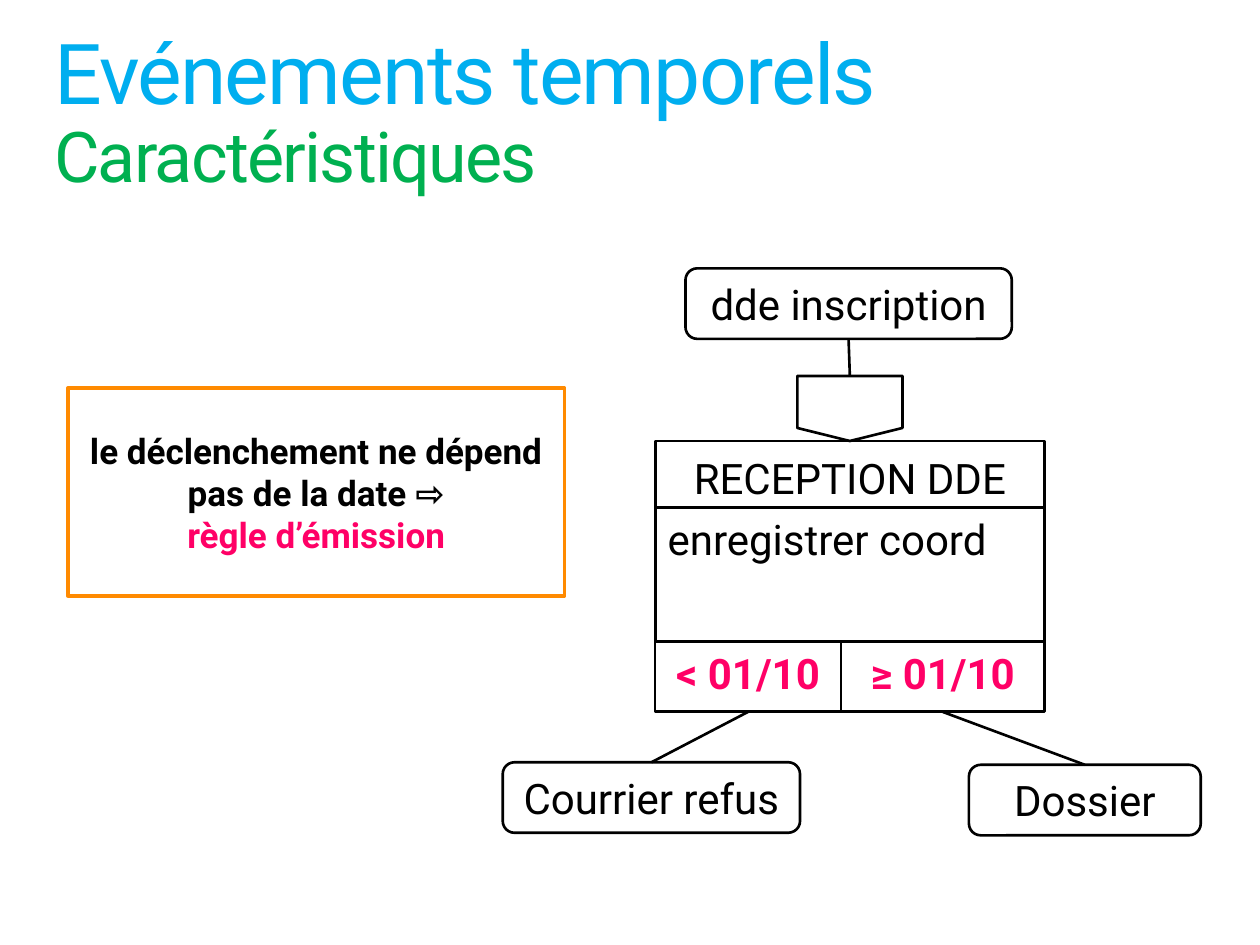
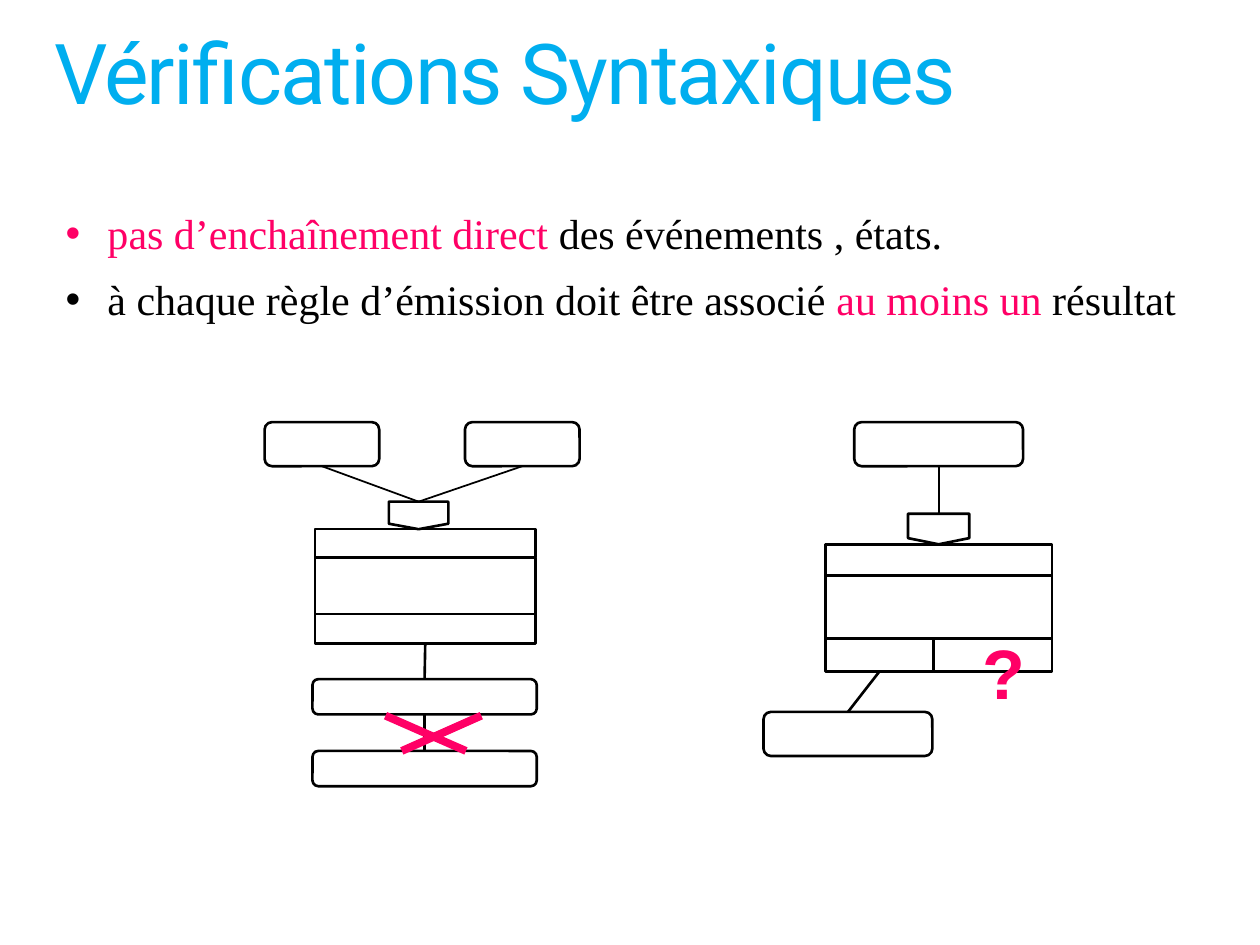
import dataclasses

import lxml.etree
import pptx
import pptx.dml.color
import pptx.enum.shapes
import pptx.enum.text
import pptx.oxml.ns
import pptx.util

RGBColor = pptx.dml.color.RGBColor
BLACK = RGBColor(0x00, 0x00, 0x00)
WHITE = RGBColor(0xFF, 0xFF, 0xFF)
BLUE = RGBColor(0x00, 0xAE, 0xEF)
GREEN = RGBColor(0x00, 0xB0, 0x50)
PINK = RGBColor(0xFF, 0x00, 0x66)
ORANGE = RGBColor(0xFF, 0x8A, 0x00)

SHAPES = pptx.enum.shapes.MSO_SHAPE
ALIGN = pptx.enum.text.PP_ALIGN
ANCHOR = pptx.enum.text.MSO_ANCHOR
qn = pptx.oxml.ns.qn

# The slide is a grid of 100 columns by 75 rows of square cells.
CELL = pptx.util.Inches(0.1)
COLUMNS, ROWS = 100, 75
TITLE_ONLY, TITLE_AND_BODY = 5, 1

# Shares of an operation's box
ROW_SHARES = (0.245, 0.495, 0.26)
RULE_SPLIT = 0.477
GATE_WIDTH, GATE_HEIGHT = 0.27, 0.24


@dataclasses.dataclass
class Box:
    left: float
    top: float
    width: float
    height: float

    def inner(self, column, row, width, height):
        """Box placed by cells from this box's corner."""
        return Box(self.left + column, self.top + row, width, height)

    def share(self, x, y, width, height):
        """Box placed by shares of this box."""
        return Box(*self.at(x, y), self.width * width, self.height * height)

    def at(self, x, y):
        return self.left + x * self.width, self.top + y * self.height

    def lengths(self):
        return [round(value * CELL) for value in
                (self.left, self.top, self.width, self.height)]


def write(shape, paragraphs, font="Roboto", size=24, color=BLACK, bold=False,
          align=ALIGN.LEFT, anchor=ANCHOR.TOP, wrap=True, inset=(0.1, 0.05),
          tracking=None, spacing=None, before=None):
    """Fill a shape; each paragraph is a list of (text, format changes)."""
    frame = shape.text_frame
    frame.auto_size = pptx.enum.text.MSO_AUTO_SIZE.NONE
    frame.word_wrap = wrap
    frame.vertical_anchor = anchor
    frame.margin_left = frame.margin_right = pptx.util.Inches(inset[0])
    frame.margin_top = frame.margin_bottom = pptx.util.Inches(inset[1])
    for index, pieces in enumerate(paragraphs):
        paragraph = frame.add_paragraph() if index else frame.paragraphs[0]
        paragraph.alignment = align
        if spacing:
            paragraph.line_spacing = spacing
        if before is not None:
            paragraph.space_before = pptx.util.Pt(before)
        for text, changes in pieces:
            if text == "\n":
                paragraph.add_line_break()
                continue
            run = paragraph.add_run()
            run.text = text
            run.font.name = font
            run.font.size = pptx.util.Pt(changes.get("size", size))
            run.font.bold = bold
            run.font.color.rgb = changes.get("color", color)
            if tracking is not None:
                run.font._element.set("spc", str(tracking * 100))


def place(shape, box):
    shape.left, shape.top, shape.width, shape.height = box.lengths()


def outline(slide, kind, box, text=None, line=BLACK, width=1.5, fill=None,
            **text_format):
    shape = slide.shapes.add_shape(kind, *box.lengths())
    shape.shadow.inherit = False
    if fill is None:
        shape.fill.background()
    else:
        shape.fill.solid()
        shape.fill.fore_color.rgb = fill
    shape.line.color.rgb = line
    shape.line.width = pptx.util.Pt(width)
    if text:
        paragraphs = [[(text, {})]] if isinstance(text, str) else text
        write(shape, paragraphs, **text_format)
    return shape


def link(slide, start, end, color=BLACK, width=1.5):
    connector = slide.shapes.add_connector(
        pptx.enum.shapes.MSO_CONNECTOR.STRAIGHT,
        *(round(value * CELL) for value in (*start, *end)))
    connector.line.color.rgb = color
    connector.line.width = pptx.util.Pt(width)
    lxml.etree.SubElement(connector._element.spPr, qn("a:effectLst"))


def state(slide, box, text=None):
    """Event or result: a rounded box."""
    outline(slide, SHAPES.ROUNDED_RECTANGLE, box, text,
            align=ALIGN.CENTER, anchor=ANCHOR.MIDDLE)
    return box


def operation(slide, box, name=None, action=None, rules=(None,), port=0.5):
    """Gate, name, action and rules; gives the gate's top and rule boxes."""
    gate = box.share(port - GATE_WIDTH / 2, -GATE_HEIGHT,
                     GATE_WIDTH, GATE_HEIGHT)
    outline(slide, SHAPES.FLOWCHART_OFFPAGE_CONNECTOR, gate)
    name_row, action_row, rule_row = ROW_SHARES
    outline(slide, SHAPES.RECTANGLE, box.share(0, 0, 1, name_row), name,
            align=ALIGN.CENTER, spacing=1.1)
    outline(slide, SHAPES.RECTANGLE, box.share(0, name_row, 1, action_row),
            action)
    rule_boxes = []
    edges = (0, RULE_SPLIT, 1) if len(rules) == 2 else (0, 1)
    for rule, start, end in zip(rules, edges, edges[1:]):
        rule_box = box.share(start, 1 - rule_row, end - start, rule_row)
        outline(slide, SHAPES.RECTANGLE, rule_box, rule, color=PINK,
                bold=True, align=ALIGN.CENTER, wrap=False)
        rule_boxes.append(rule_box)
    return gate.at(0.5, 0), rule_boxes


def add_title(slide, box, title, subtitle=None):
    pieces = [(title, {})]
    if subtitle:
        pieces += [("\n", {}), (subtitle, {"size": 40, "color": GREEN})]
    place(slide.shapes.title, box)
    write(slide.shapes.title, [pieces], size=48, color=BLUE, inset=(0, 0),
          tracking=-1, spacing=0.9, before=0)


def add_bullets(slide, box, paragraphs):
    body = slide.placeholders[1]
    place(body, box)
    write(body, paragraphs, font="Times New Roman", align=ALIGN.JUSTIFY,
          spacing=0.9, before=12)
    body.text_frame.paragraphs[0].line_spacing = 1.3
    for paragraph in body.text_frame.paragraphs:
        paragraph.level = 1
        properties = paragraph._p.get_or_add_pPr()
        properties.set("marL", str(pptx.util.Inches(0.9)))
        properties.set("indent", str(pptx.util.Inches(-0.25)))
        lxml.etree.SubElement(properties, qn("a:buFont"), typeface="Arial")
        lxml.etree.SubElement(properties, qn("a:buChar"), char="•")


def add_note(slide, box):
    lines = [[("le déclenchement ne dépend", {})],
             [("pas de la date ⇨", {})],
             [("règle d’émission", {"color": PINK})]]
    outline(slide, SHAPES.RECTANGLE, box, lines, line=ORANGE, width=2,
            fill=WHITE, size=20, bold=True, align=ALIGN.CENTER,
            anchor=ANCHOR.MIDDLE, wrap=False)


def add_registration(slide, box):
    """Request, its reception and the two dated results."""
    gate_top, rules = operation(slide, box.inner(12.1, 13.7, 30.9, 21.5),
                                "RECEPTION DDE", "enregistrer coord",
                                ("< 01/10", "≥ 01/10"))
    request = state(slide, box.inner(14.5, 0, 25.9, 5.6), "dde inscription")
    refusal = state(slide, box.inner(0, 39.2, 23.6, 5.6), "Courrier refus")
    folder = state(slide, box.inner(37, 39.4, 18.4, 5.6), "Dossier")
    link(slide, request.at(0.5, 1), gate_top)
    for rule, result in zip(rules, (refusal, folder)):
        link(slide, rule.at(0.5, 1), result.at(0.5, 0))


def add_chained_results(slide, box):
    """Two events, an operation and a forbidden result-to-result link."""
    gate_top, rules = operation(slide, box.inner(4, 8.5, 17.5, 9.1),
                                port=0.47)
    for column in (0, 15.9):
        event = state(slide, box.inner(column, 0, 9.1, 3.5))
        link(slide, event.at(0.5, 1), gate_top, width=1)
    source = rules[0]
    for row in (20.4, 26.1):
        result = state(slide, box.inner(3.8, row, 17.8, 2.8))
        link(slide, source.at(0.5, 1), result.at(0.5, 0))
        source = result
    # Cross over the forbidden link
    cross = box.inner(9.6, 23.3, 7.6, 2.8)
    link(slide, cross.at(0.17, 1), cross.at(1, 0), PINK, 4.5)
    link(slide, cross.at(0, 0), cross.at(0.84, 1), PINK, 4.5)


def add_missing_result(slide, box):
    """An operation whose second rule has no result."""
    gate_top, rules = operation(slide, box.inner(4.9, 9.7, 18, 10.1),
                                rules=(None, None))
    event = state(slide, box.inner(7.2, 0, 13.4, 3.5))
    result = state(slide, box.inner(0, 23, 13.4, 3.5))
    link(slide, event.at(0.5, 1), gate_top, width=1)
    link(slide, rules[0].at(0.5, 1), result.at(0.5, 0))
    question = slide.shapes.add_textbox(
        *box.inner(16.4, 16, 5.4, 7.7).lengths())
    write(question, [[("?", {})]], font="Arial", size=40, color=PINK,
          bold=True, wrap=False)


def add_events_slide(presentation):
    slide = presentation.slides.add_slide(
        presentation.slide_layouts[TITLE_ONLY])
    add_title(slide, Box(4.3, 2.5, 91.5, 13.3),
              "Evénements temporels", "Caractéristiques")
    add_registration(slide, Box(39.9, 21.3, 55.4, 45))
    add_note(slide, Box(5.4, 30.8, 39.4, 16.5))


def add_checks_slide(presentation):
    slide = presentation.slides.add_slide(
        presentation.slide_layouts[TITLE_AND_BODY])
    add_title(slide, Box(4.3, 2.5, 91.5, 7.3), "Vérifications Syntaxiques")
    pink = {"color": PINK}
    add_bullets(slide, Box(-2.3, 14.8, 100, 11.6), [
        [(" pas d’enchaînement direct", pink),
         (" des événements , états.", {})],
        [(" à chaque règle d’émission doit être associé ", {}),
         ("au moins un", pink), (" résultat", {})]])
    add_chained_results(slide, Box(21, 33.5, 25, 28.9))
    add_missing_result(slide, Box(60.6, 33.5, 22.9, 26.5))


presentation = pptx.Presentation()
presentation.slide_width = COLUMNS * CELL
presentation.slide_height = ROWS * CELL
add_events_slide(presentation)
add_checks_slide(presentation)
presentation.save("out.pptx")
